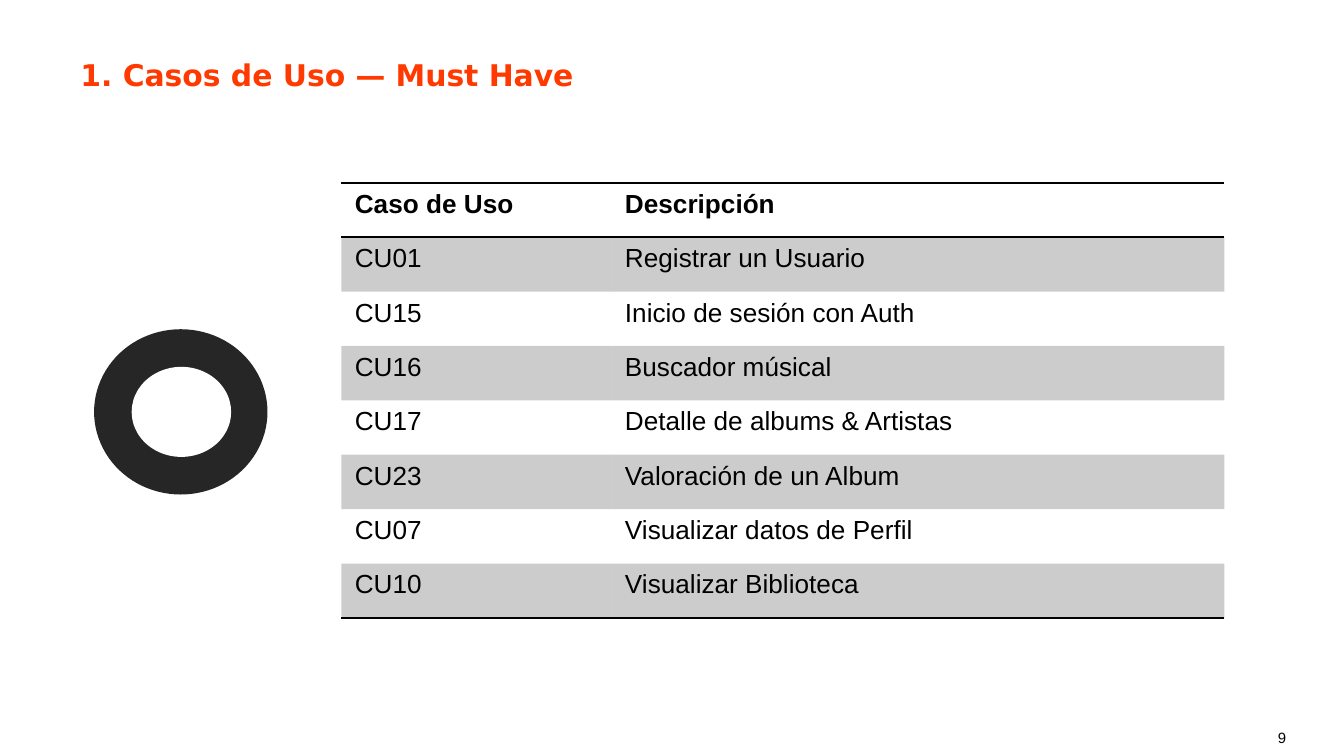
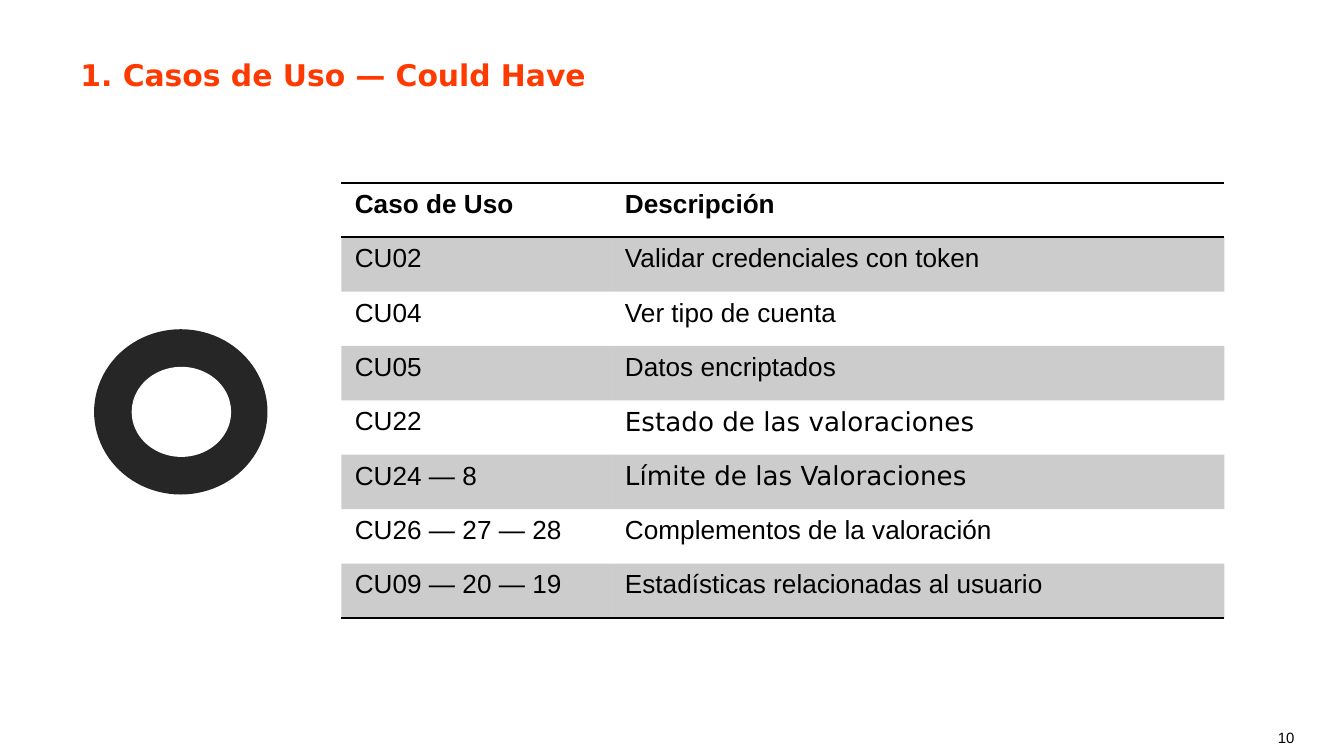
"""Build two slides that list use cases by priority."""
from dataclasses import dataclass

from lxml import etree
from pptx import Presentation
from pptx.dml.color import RGBColor
from pptx.enum.shapes import MSO_SHAPE
from pptx.enum.text import MSO_ANCHOR
from pptx.oxml.ns import qn
from pptx.util import Inches, Pt

OVAL = MSO_SHAPE.OVAL
MIDDLE = MSO_ANCHOR.MIDDLE


@dataclass(frozen=True)
class Theme:
    ink: str = "000000"
    accent: str = "FF3A00"
    dark: str = "262626"
    paper: str = "FFFFFF"
    body: str = "Arial"
    head: str = "DejaVu Sans"
    title: int = 16
    cell: int = 14
    page: int = 8
    band: int = 20
    rule: int = 1


THEME = Theme()
HEADS = ("Caso de Uso", "Descripción")
SLIDES = [
    {
        "page": 9,
        "title": "1. Casos de Uso — Must Have",
        "width": 3.88,
        "cases": [
            ("CU01", "Registrar un Usuario"),
            ("CU15", "Inicio de sesión con Auth"),
            ("CU16", "Buscador músical"),
            ("CU17", "Detalle de albums & Artistas"),
            ("CU23", "Valoración de un Album"),
            ("CU07", "Visualizar datos de Perfil"),
            ("CU10", "Visualizar Biblioteca"),
        ],
    },
    {
        "page": 10,
        "title": "1. Casos de Uso — Could Have",
        "width": 3.99,
        "cases": [
            ("CU02", "Validar credenciales con token"),
            ("CU04", "Ver tipo de cuenta"),
            ("CU05", "Datos encriptados"),
            ("CU22", "Estado de las valoraciones"),
            ("CU24 — 8", "Límite de las Valoraciones"),
            ("CU26 — 27 — 28", "Complementos de la valoración"),
            ("CU09 — 20 — 19", "Estadísticas relacionadas al usuario"),
        ],
    },
]
HEAD_FONT = {"Estado de las valoraciones", "Límite de las Valoraciones"}
RING = [((0.7, 2.45, 1.29, 1.23), THEME.dark), ((0.98, 2.73, 0.74, 0.67), THEME.paper)]
GRID = (2.54, 1.36, 6.57, 3.24)
COLS = (2.01, 4.56)
PLAIN = "{2D5ABB26-0587-4C30-8999-92F81FD0307C}"


def write(frame, text, size, font=THEME.body, color=THEME.ink, bold=False):
    run = frame.paragraphs[0].add_run()
    run.text = text
    run.font.size = Pt(size)
    run.font.name = font
    run.font.bold = bold
    run.font.color.rgb = RGBColor.from_string(color)


def label(slide, box, text, size, wrap=True, **form):
    frame = slide.shapes.add_textbox(*map(Inches, box)).text_frame
    frame.word_wrap = wrap
    frame.vertical_anchor = MIDDLE
    write(frame, text, size, **form)


def edge(cell, side):
    line = etree.SubElement(cell._tc.get_or_add_tcPr(), qn(f"a:ln{side}"), w=str(Pt(THEME.rule)))
    fill = etree.SubElement(line, qn("a:solidFill"))
    etree.SubElement(fill, qn("a:srgbClr"), val=THEME.ink)


def shade(cell):
    cell.fill.solid()
    cell.fill.fore_color.rgb = RGBColor.from_string(THEME.ink)
    color = cell._tc.tcPr.find(f"{qn('a:solidFill')}/{qn('a:srgbClr')}")
    etree.SubElement(color, qn("a:alpha"), val=str(THEME.band * 1000))


def ring(slide):
    group = slide.shapes.add_group_shape()
    for box, color in RING:
        disc = group.shapes.add_shape(OVAL, *map(Inches, box))
        disc.shadow.inherit = False
        disc.fill.solid()
        disc.fill.fore_color.rgb = RGBColor.from_string(color)
        disc.line.fill.background()


def grid(slide, cases):
    rows = [HEADS, *cases]
    table = slide.shapes.add_table(len(rows), len(COLS), *map(Inches, GRID)).table
    table.horz_banding = False
    table._tbl.tblPr.find(qn("a:tableStyleId")).text = PLAIN
    for col, width in zip(table.columns, COLS):
        col.width = Inches(width)
    for r, row in enumerate(rows):
        table.rows[r].height = Inches(GRID[3] / len(rows))
        for c, text in enumerate(row):
            cell = table.cell(r, c)
            font = THEME.head if text in HEAD_FONT else THEME.body
            write(cell.text_frame, text, THEME.cell, font=font, bold=r == 0)
            if r == 0:
                edge(cell, "T")
            if r in (0, len(rows) - 1):
                edge(cell, "B")
            if r % 2:
                shade(cell)
            else:
                cell.fill.background()


def main():
    deck = Presentation()
    deck.slide_width = Inches(10)
    deck.slide_height = deck.slide_width * 9 // 16
    for data in SLIDES:
        slide = deck.slides.add_slide(deck.slide_layouts[6])
        label(slide, (9.41, 5.37, 0.59, 0.24), str(data["page"]), THEME.page)
        label(slide, (0.5, 0.37, data["width"], 0.37), data["title"], THEME.title,
              wrap=False, font=THEME.head, color=THEME.accent, bold=True)
        ring(slide)
        grid(slide, data["cases"])
    deck.save("out.pptx")


if __name__ == "__main__":
    main()
